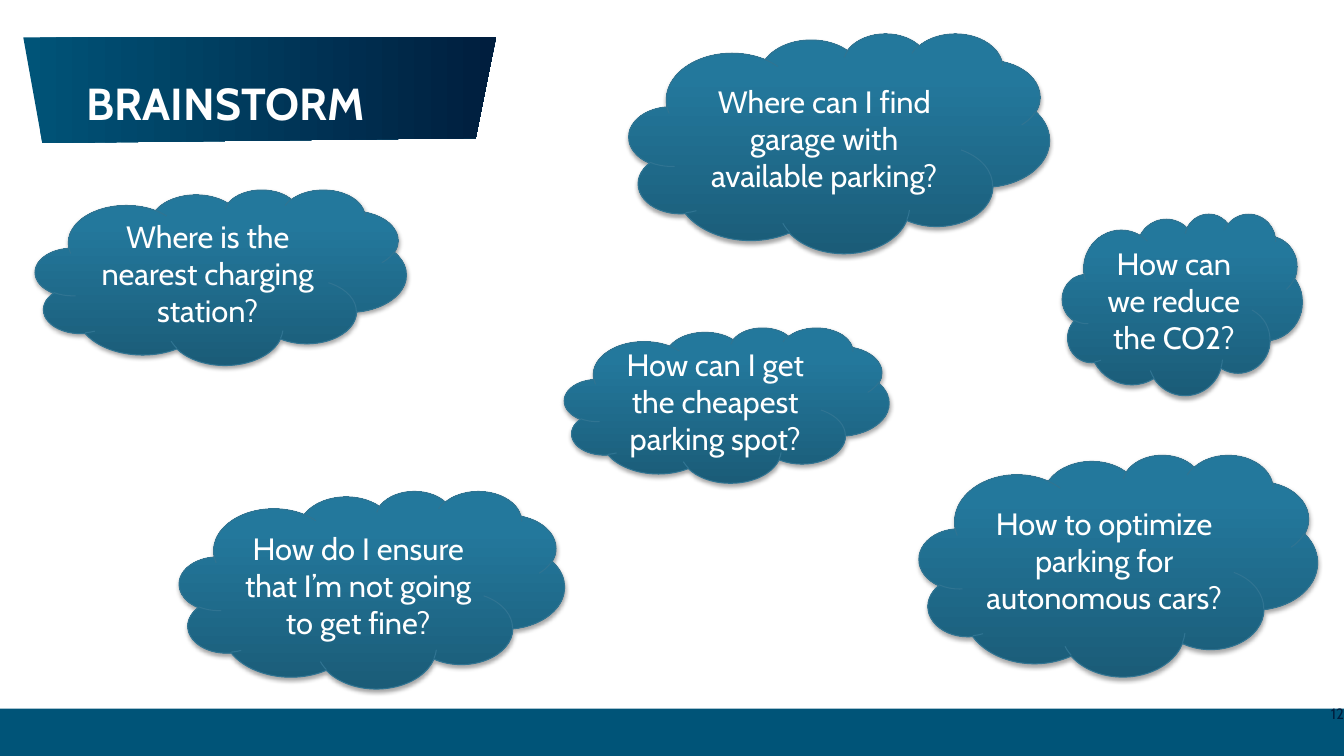
from lxml import etree
from pptx import Presentation
from pptx.dml.color import RGBColor
from pptx.enum.shapes import MSO_SHAPE
from pptx.enum.text import MSO_ANCHOR, MSO_AUTO_SIZE, PP_ALIGN
from pptx.oxml.ns import qn
from pptx.util import Inches, Pt

CLOUD, RECT = MSO_SHAPE.CLOUD, MSO_SHAPE.RECTANGLE
TOP, MIDDLE, BOTTOM = MSO_ANCHOR.TOP, MSO_ANCHOR.MIDDLE, MSO_ANCHOR.BOTTOM
LEFT, CENTER, RIGHT = PP_ALIGN.LEFT, PP_ALIGN.CENTER, PP_ALIGN.RIGHT
FIXED = MSO_AUTO_SIZE.NONE

WHITE = RGBColor(0xFF, 0xFF, 0xFF)
BLACK = RGBColor(0x00, 0x00, 0x00)
BLUE = RGBColor(0x00, 0x54, 0x78)
NAVY = RGBColor(0x00, 0x1E, 0x3E)
EDGE = RGBColor(0x30, 0x74, 0x92)
DEEP = RGBColor(0x1B, 0x5C, 0x78)
MID = RGBColor(0x23, 0x78, 0x9C)
LIGHT = RGBColor(0x21, 0x79, 0x9F)

FONT = "Cabin"
WIDE, HIGH = Inches(13.333), Inches(7.5)
TITLE_TOP = 4.93

# Boxes are left, top, width, height in percent of the slide
BAR = (0, 93.73, 100, 6.27)
NUMBER = (96.47, 92.67, 3.53, 2.93)
TITLE = (1.73, TITLE_TOP, 35.17, 14)
BANNER = [(1.73, TITLE_TOP), (36.9, TITLE_TOP), (35.4, 18.27), (3.15, 18.93)]
IDEAS = [
    ("How can I get the cheapest parking spot?", (42, 43.33, 24.15, 20.53)),
    ("Where can I find garage with available parking?",
     (46.8, 4.4, 31.28, 29.07)),
    ("How can we reduce the CO2?", (79.05, 28.27, 17.85, 24)),
    ("How do I ensure that I’m not going to get fine?",
     (13.35, 64.93, 28.65, 26.13)),
    ("Where is the nearest charging station?", (2.63, 25.07, 27.6, 23.2)),
    ("How to optimize parking for autonomous cars?",
     (68.4, 60.13, 29.63, 29.33)),
]


def across(share):
    return round(WIDE * share / 100)


def down(share):
    return round(HIGH * share / 100)


def place(box):
    x, y, w, h = box
    return across(x), down(y), across(w), down(h)


def apply(item, values):
    for name, value in values.items():
        setattr(item, name, value)


def write(shape, text, size, color, align, anchor, inset=None, bold=False):
    frame = shape.text_frame
    frame.text = text
    apply(frame, {"word_wrap": True, "auto_size": FIXED,
                  "vertical_anchor": anchor})
    if inset:
        sides = ("left", "top", "right", "bottom")
        apply(frame, {f"margin_{side}": Inches(gap)
                      for side, gap in zip(sides, inset)})
    para = frame.paragraphs[0]
    para.alignment = align
    font = para.runs[0].font
    apply(font, {"name": FONT, "size": Pt(size), "bold": bold})
    font.color.rgb = color
    return para


def shade(shape, stops, angle):
    shape.fill.gradient()
    shape.fill.gradient_angle = angle
    ramp = shape.element.spPr.find(".//" + qn("a:gsLst"))
    for old in list(ramp):
        ramp.remove(old)
    for share, color in stops:
        stop = etree.SubElement(ramp, qn("a:gs"), pos=str(share * 1000))
        etree.SubElement(stop, qn("a:srgbClr"), val=str(color))


def drop(shape):
    """Give the shape a soft shadow straight below."""
    shape.shadow.inherit = False
    group = shape.element.spPr.find(qn("a:effectLst"))
    cast = etree.SubElement(group, qn("a:outerShdw"), blurRad=str(Pt(3.1)),
                            dist=str(Pt(1.8)), dir="5400000",
                            rotWithShape="0")
    tint = etree.SubElement(cast, qn("a:srgbClr"), val=str(BLACK))
    etree.SubElement(tint, qn("a:alpha"), val="35000")


def add_bar(slide):
    bar = slide.shapes.add_shape(RECT, *place(BAR))
    bar.shadow.inherit = False
    bar.fill.solid()
    bar.fill.fore_color.rgb = BLUE
    bar.line.fill.background()


def add_title(slide, text):
    points = [(across(x), down(y)) for x, y in BANNER]
    pen = slide.shapes.build_freeform(*points[0])
    pen.add_line_segments(points[1:], close=True)
    banner = pen.convert_to_shape()
    banner.shadow.inherit = False
    shade(banner, [(0, BLUE), (100, NAVY)], 0)
    banner.line.fill.background()

    title = slide.shapes.title
    apply(title, dict(zip(("left", "top", "width", "height"), place(TITLE))))
    para = write(title, text, 32, WHITE, LEFT, TOP,
                 (0.63, 0.45, 0.16, 0.05), True)
    para.line_spacing = 0.88
    title.element.addprevious(banner.element)


def add_cloud(slide, text, box):
    cloud = slide.shapes.add_shape(CLOUD, *place(box))
    shade(cloud, [(0, DEEP), (80, MID), (100, LIGHT)], 90)
    cloud.line.color.rgb = EDGE
    cloud.line.width = Pt(0.75)
    drop(cloud)
    write(cloud, text, 22, WHITE, CENTER, MIDDLE)


def main():
    deck = Presentation()
    apply(deck, {"slide_width": WIDE, "slide_height": HIGH})
    slide = deck.slides.add_slide(deck.slide_layouts[5])

    # Footer
    add_bar(slide)
    number = slide.shapes.add_textbox(*place(NUMBER))
    write(number, "12", 10.7, NAVY, RIGHT, BOTTOM, (0, 0, 0, 0))

    # Title and ideas
    add_title(slide, "BRAINSTORM")
    for text, box in IDEAS:
        add_cloud(slide, text, box)

    deck.save("out.pptx")


if __name__ == "__main__":
    main()
